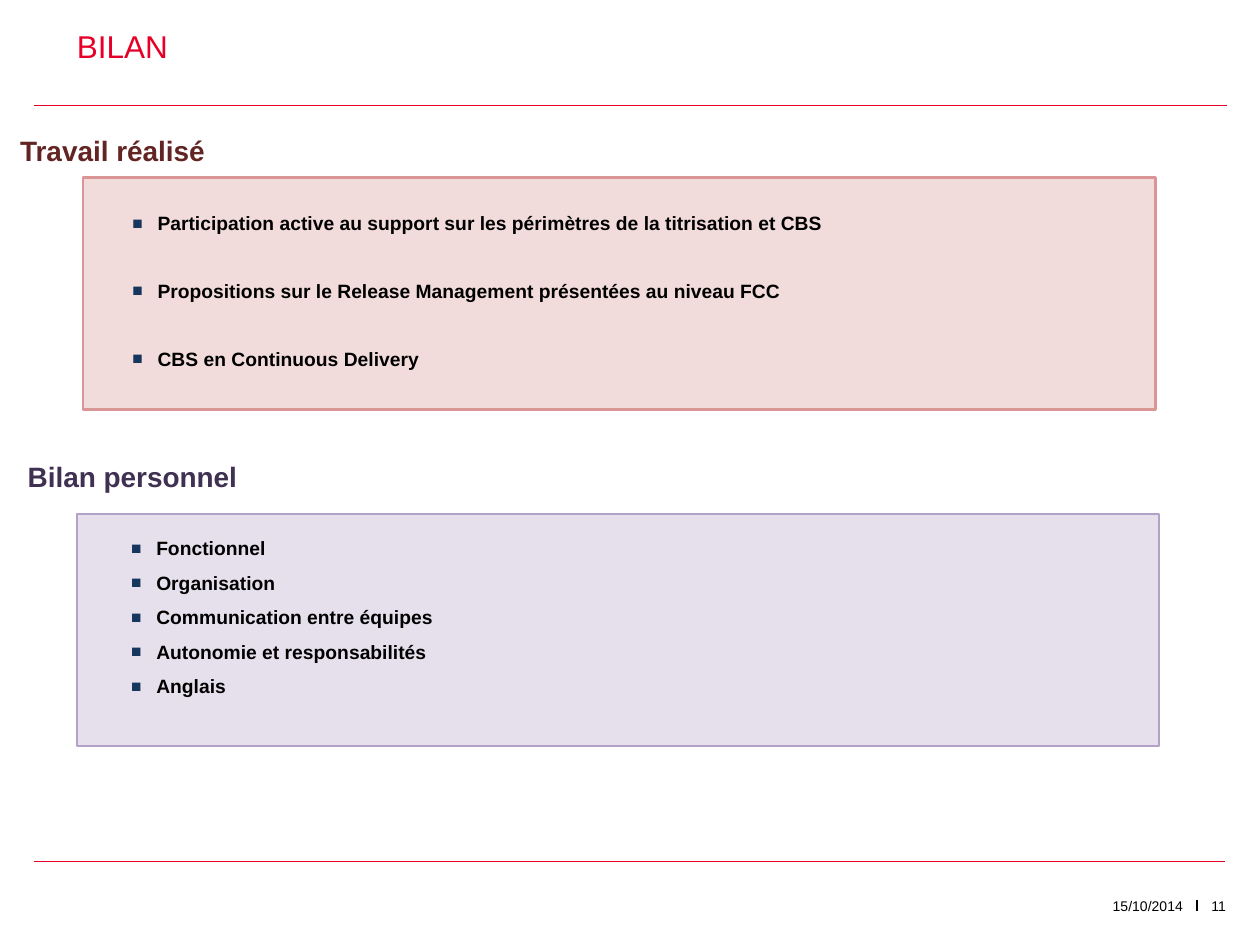
from dataclasses import dataclass

from lxml.etree import SubElement
from pptx import Presentation
from pptx.dml.color import RGBColor
from pptx.enum.shapes import MSO_CONNECTOR, MSO_SHAPE
from pptx.enum.text import MSO_ANCHOR, MSO_AUTO_SIZE, PP_ALIGN
from pptx.oxml.ns import qn
from pptx.util import Inches, Pt

RED = RGBColor(0xE6, 0x00, 0x28)
BLACK = RGBColor(0x00, 0x00, 0x00)
NAVY = RGBColor(0x17, 0x36, 0x5D)
BROWN = RGBColor(0x63, 0x25, 0x23)
PURPLE = RGBColor(0x40, 0x31, 0x52)
PINK_FILL = RGBColor(0xF2, 0xDC, 0xDB)
PINK_LINE = RGBColor(0xD9, 0x96, 0x94)
LILAC_FILL = RGBColor(0xE6, 0xE0, 0xEC)
LILAC_LINE = RGBColor(0xB3, 0xA2, 0xC7)

FONT = "Arial"
HEADING_SIZE = (9.11, 0.31)
LIST_SIZE = (7.7, 1.76)
COMPARISON_LAYOUT = 4


@dataclass
class Section:
    heading: str
    heading_position: tuple[float, float]
    heading_color: RGBColor
    box: tuple[float, float, float, float]
    fill: RGBColor
    line: RGBColor
    list_position: tuple[float, float]
    space_before: float
    items: list[str]


@dataclass
class Rule:
    start: tuple[float, float]
    end: tuple[float, float]
    color: RGBColor
    width: float


SECTIONS = [
    Section("Travail réalisé", (0.16, 1.02), BROWN,
            (0.66, 1.41, 8.51, 1.84), PINK_FILL, PINK_LINE, (1.05, 1.68), 25.6,
            ["Participation active au support sur les périmètres de la titrisation et CBS",
             "Propositions sur le Release Management présentées au niveau FCC",
             "CBS en Continuous Delivery"]),
    Section("Bilan personnel", (0.22, 3.61), PURPLE,
            (0.61, 4.08, 8.59, 1.84), LILAC_FILL, LILAC_LINE, (1.04, 4.26), 6.5,
            ["Fonctionnel", "Organisation", "Communication entre équipes",
             "Autonomie et responsabilités", "Anglais"]),
]

RULES = [
    Rule((0.27, 0.84), (9.74, 0.84), RED, 0.5),
    Rule((0.27, 6.84), (9.72, 6.84), RED, 0.5),
    Rule((9.5, 7.14), (9.5, 7.23), BLACK, 0.75),
]


def add_bullet(paragraph) -> None:
    properties = paragraph._p.get_or_add_pPr()
    properties.set("marL", str(Inches(0.2)))
    properties.set("indent", str(Inches(-0.2)))
    color = SubElement(properties, qn("a:buClr"))
    SubElement(color, qn("a:srgbClr"), val=str(NAVY))
    SubElement(properties, qn("a:buSzPct"), val="90000")
    SubElement(properties, qn("a:buFont"), typeface=FONT)
    SubElement(properties, qn("a:buChar"), char="■")


def write_text(shape, lines: list[str], position: tuple[float, float],
               size: tuple[float, float], *, points: float, color: RGBColor,
               bold: bool = False, align=PP_ALIGN.LEFT, anchor=MSO_ANCHOR.TOP,
               line_spacing: float = 1.0, space_before: float = 0,
               bullets: bool = False) -> None:
    """Place a text shape and fill it with one paragraph per line."""
    shape.left, shape.top = map(Inches, position)
    shape.width, shape.height = map(Inches, size)
    frame = shape.text_frame
    frame.word_wrap = True
    frame.auto_size = MSO_AUTO_SIZE.NONE
    frame.vertical_anchor = anchor
    frame.margin_left = frame.margin_right = 0
    frame.margin_top = frame.margin_bottom = 0
    frame.text = "\n".join(lines)
    for paragraph in frame.paragraphs:
        paragraph.alignment = align
        paragraph.line_spacing = line_spacing
        paragraph.space_before = Pt(space_before)
        if bullets:
            add_bullet(paragraph)
        for run in paragraph.runs:
            run.font.name = FONT
            run.font.size = Pt(points)
            run.font.bold = bold
            run.font.color.rgb = color


def write_heading(shape, text: str, position: tuple[float, float], *,
                  points: float, color: RGBColor, bold: bool) -> None:
    write_text(shape, [text], position, HEADING_SIZE, points=points, color=color,
               bold=bold, anchor=MSO_ANCHOR.BOTTOM, line_spacing=0.9)


def add_rule(slide, rule: Rule) -> None:
    connector = slide.shapes.add_connector(
        MSO_CONNECTOR.STRAIGHT, *map(Inches, rule.start + rule.end))
    connector.line.color.rgb = rule.color
    connector.line.width = Pt(rule.width)
    SubElement(connector.element.spPr, qn("a:effectLst"))


def add_box(slide, section: Section) -> None:
    """Add the section's panel behind the placeholders."""
    box = slide.shapes.add_shape(MSO_SHAPE.RECTANGLE, *map(Inches, section.box))
    box.shadow.inherit = False
    box.fill.solid()
    box.fill.fore_color.rgb = section.fill
    box.line.color.rgb = section.line
    box.line.width = Pt(1.5)
    box.element.getparent().insert(2, box.element)


def add_section(slide, section: Section, heading, body) -> None:
    add_box(slide, section)
    write_heading(heading, section.heading, section.heading_position,
                  points=16, color=section.heading_color, bold=True)
    write_text(body, section.items, section.list_position, LIST_SIZE, points=11,
               color=BLACK, bold=True, space_before=section.space_before, bullets=True)


def add_footer(slide, text: str, left: float, width: float) -> None:
    box = slide.shapes.add_textbox(0, 0, 0, 0)
    write_text(box, [text], (left, 7.12), (width, 0.24), points=8,
               color=BLACK, align=PP_ALIGN.RIGHT)


def main() -> None:
    presentation = Presentation()
    presentation.slide_width = Inches(10)
    presentation.slide_height = Inches(7.5)
    slide = presentation.slides.add_slide(presentation.slide_layouts[COMPARISON_LAYOUT])
    title, *placeholders = slide.placeholders
    write_heading(title, "BILAN", (0.61, 0.21), points=18, color=RED, bold=False)
    for section, heading, body in zip(SECTIONS, placeholders[::2], placeholders[1::2]):
        add_section(slide, section, heading, body)
    for rule in RULES:
        add_rule(slide, rule)
    add_footer(slide, "15/10/2014", 7.41, 1.98)
    add_footer(slide, "11", 9.45, 0.28)
    presentation.save("out.pptx")


if __name__ == "__main__":
    main()
